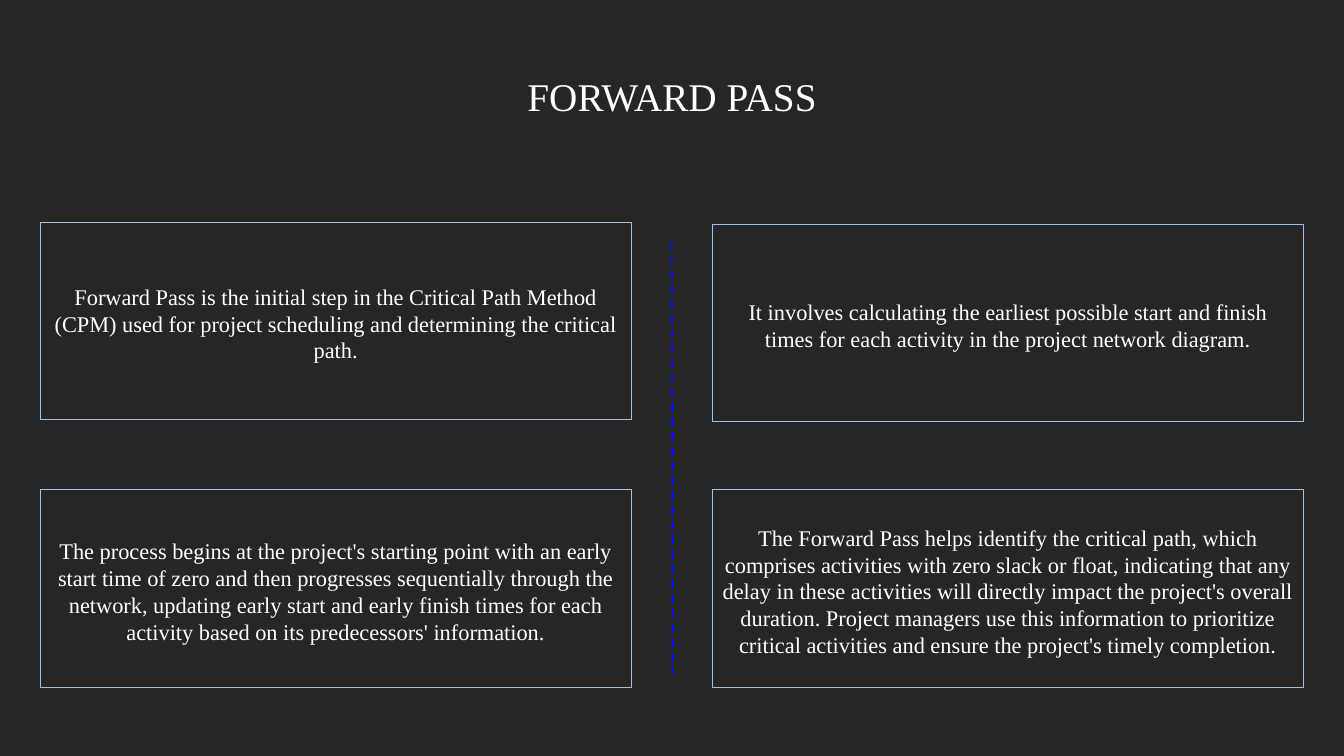
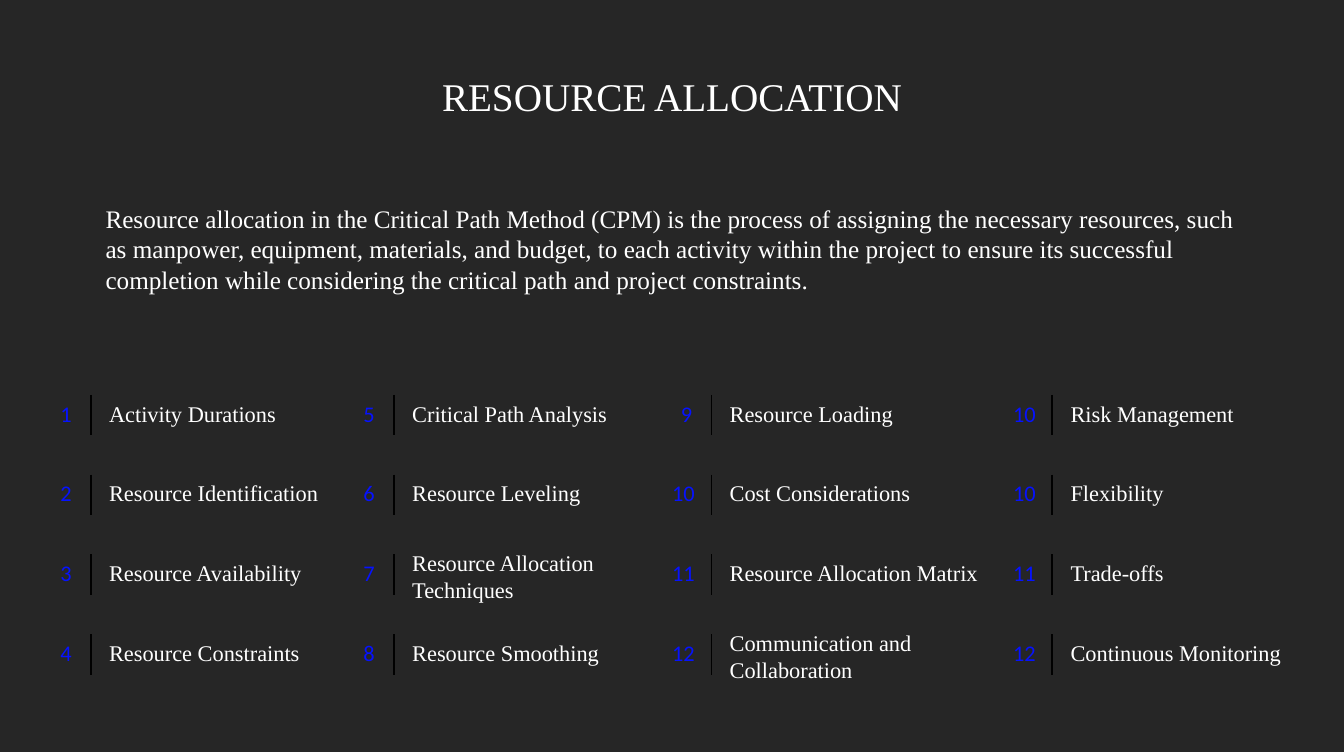
from lxml import etree
from pptx import Presentation
from pptx.dml.color import RGBColor
from pptx.enum.dml import MSO_LINE
from pptx.enum.shapes import MSO_CONNECTOR, MSO_SHAPE
from pptx.enum.text import MSO_ANCHOR, PP_ALIGN
from pptx.oxml.ns import qn
from pptx.util import Cm, Pt

RECTANGLE = MSO_SHAPE.RECTANGLE
STRAIGHT = MSO_CONNECTOR.STRAIGHT
DASH = MSO_LINE.DASH
MIDDLE = MSO_ANCHOR.MIDDLE
LEFT, CENTER = PP_ALIGN.LEFT, PP_ALIGN.CENTER

CHARCOAL = RGBColor(0x26, 0x26, 0x26)
WHITE = RGBColor(0xFF, 0xFF, 0xFF)
BLACK = RGBColor(0x00, 0x00, 0x00)
BLUE = RGBColor(0x06, 0x12, 0xFE)
PALE_BLUE = RGBColor(0x9D, 0xC3, 0xE6)
SERIF, SANS = "Times New Roman", "Calibri"

SLIDE_W, SLIDE_H = 33.87, 19.05
CARD_W, CARD_H = 14.88, 4.98
ROW_PITCH, RULE_H = 2.01, 1.02
LABEL_W, LABEL_H = 7, 0.94
NUMBER_W, LABEL_GAP = 1.24, 0.21
DIGIT_INDENT, SECOND_LINE_LIFT = 0.22, 0.25

CARDS = [
    (1.02, 5.59, "Forward Pass is the initial step in the Critical Path Method (CPM) used for "
     "project scheduling and determining the critical path."),
    (17.96, 5.64, "It involves calculating the earliest possible start and finish times for "
     "each activity in the project network diagram."),
    (1.02, 12.34, "The process begins at the project's starting point with an early start time "
     "of zero and then progresses sequentially through the network, updating early start and "
     "early finish times for each activity based on its predecessors' information."),
    (17.96, 12.34, "The Forward Pass helps identify the critical path, which comprises "
     "activities with zero slack or float, indicating that any delay in these activities will "
     "directly impact the project's overall duration. Project managers use this information to "
     "prioritize critical activities and ensure the project's timely completion."),
]

ALLOCATION_SUMMARY = (
    "Resource allocation in the Critical Path Method (CPM) is the process of assigning the "
    "necessary resources, such as manpower, equipment, materials, and budget, to each activity "
    "within the project to ensure its successful completion while considering the critical path "
    "and project constraints."
)

TOPIC_COLUMNS = [
    (2.29, [("1", ["Activity Durations"]), ("2", ["Resource Identification"]),
            ("3", ["Resource Availability"]), ("4", ["Resource Constraints"])]),
    (9.93, [("5", ["Critical Path Analysis"]), ("6", ["Resource Leveling"]),
            ("7", ["Resource Allocation", "Techniques"]), ("8", ["Resource Smoothing"])]),
    (17.93, [("9", ["Resource Loading"]), ("10", ["Cost Considerations"]),
             ("11", ["Resource Allocation Matrix"]),
             ("12", ["Communication and", "Collaboration"])]),
    (26.52, [("10", ["Risk Management"]), ("10", ["Flexibility"]),
             ("11", ["Trade-offs"]), ("12", ["Continuous Monitoring"])]),
]


def write(frame, lines, size, color=WHITE, font=SERIF, align=LEFT):
    """Fill a text frame with one paragraph per line."""
    frame.word_wrap = True
    for index, line in enumerate(lines):
        paragraph = frame.add_paragraph() if index else frame.paragraphs[0]
        paragraph.alignment = align
        run = paragraph.add_run()
        run.text = line
        run.font.size = Pt(size)
        run.font.name = font
        run.font.color.rgb = color


def add_text(slide, left, top, width, height, lines, size, **style):
    """Place a text box in the given box."""
    box = slide.shapes.add_textbox(Cm(left), Cm(top), Cm(width), Cm(height))
    write(box.text_frame, lines, size, **style)


def add_rule(slide, x1, y1, x2, y2, color, weight, dash=None):
    """Draw a straight line without a shadow."""
    rule = slide.shapes.add_connector(STRAIGHT, Cm(x1), Cm(y1), Cm(x2), Cm(y2))
    rule.line.color.rgb = color
    rule.line.width = Pt(weight)
    if dash:
        rule.line.dash_style = dash
    etree.SubElement(rule._element.spPr, qn("a:effectLst"))


def add_titled_slide(deck, title, backdrop_top=0):
    """Add a slide with the dark backdrop and the centred title."""
    slide = deck.slides.add_slide(deck.slide_layouts[6])
    backdrop = slide.shapes.add_shape(
        RECTANGLE, 0, Cm(backdrop_top), Cm(SLIDE_W), Cm(SLIDE_H))
    backdrop.shadow.inherit = False
    backdrop.fill.solid()
    backdrop.fill.fore_color.rgb = CHARCOAL
    backdrop.line.fill.background()
    add_text(slide, 10, 1.7, 13.87, 1.45, [title], 28, align=CENTER)
    return slide


def add_card(slide, left, top, text):
    """Place an outlined card with its centred statement."""
    card = slide.shapes.add_shape(RECTANGLE, Cm(left), Cm(top), Cm(CARD_W), Cm(CARD_H))
    card.shadow.inherit = False
    card.fill.background()
    card.line.color.rgb = PALE_BLUE
    card.line.width = Pt(0.25)
    frame = card.text_frame
    frame.vertical_anchor = MIDDLE
    frame.margin_top = Cm(0.25)
    write(frame, [text], 16, align=CENTER)


def add_topic(slide, rule_x, top, number, label_lines):
    """Place a number, its dividing rule and its label around the rule."""
    number_x = rule_x - NUMBER_W + (DIGIT_INDENT if len(number) == 1 else 0)
    add_text(slide, number_x, top, NUMBER_W, LABEL_H, [number], 16, color=BLUE, font=SANS)
    add_rule(slide, rule_x, top, rule_x, top + RULE_H, BLACK, 1.25)
    label_top = top - SECOND_LINE_LIFT * (len(label_lines) - 1)
    add_text(slide, rule_x + LABEL_GAP, label_top, LABEL_W, LABEL_H * len(label_lines),
             label_lines, 16)


def add_topic_column(slide, rule_x, top, topics):
    """Stack topics at an equal pitch below the given point."""
    for row, (number, label_lines) in enumerate(topics):
        add_topic(slide, rule_x, top + row * ROW_PITCH, number, label_lines)


def build_forward_pass(deck):
    """Build the slide with four cards around a dashed divider."""
    slide = add_titled_slide(deck, "FORWARD PASS")
    add_rule(slide, 16.92, 6.07, 16.94, 16.97, BLUE, 1.5, DASH)
    for left, top, text in CARDS:
        add_card(slide, left, top, text)


def build_resource_allocation(deck):
    """Build the slide with a summary and four columns of topics."""
    slide = add_titled_slide(deck, "RESOURCE ALLOCATION", backdrop_top=-0.1)
    add_text(slide, 2.41, 5, 29.06, 2.57, [ALLOCATION_SUMMARY], 18)
    for rule_x, topics in TOPIC_COLUMNS:
        add_topic_column(slide, rule_x, 9.95, topics)


def main():
    """Build and save the deck."""
    deck = Presentation()
    deck.slide_width, deck.slide_height = Cm(SLIDE_W), Cm(SLIDE_H)
    build_forward_pass(deck)
    build_resource_allocation(deck)
    deck.save("out.pptx")


if __name__ == "__main__":
    main()
